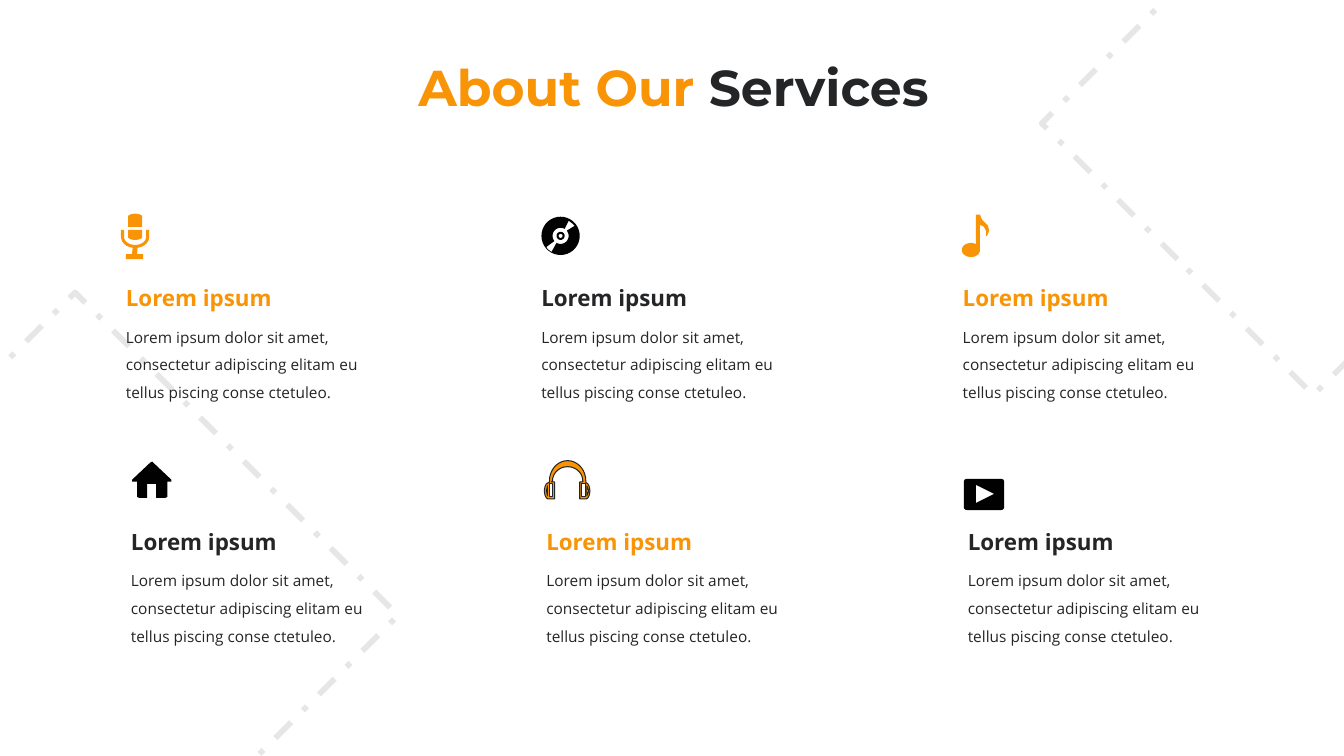
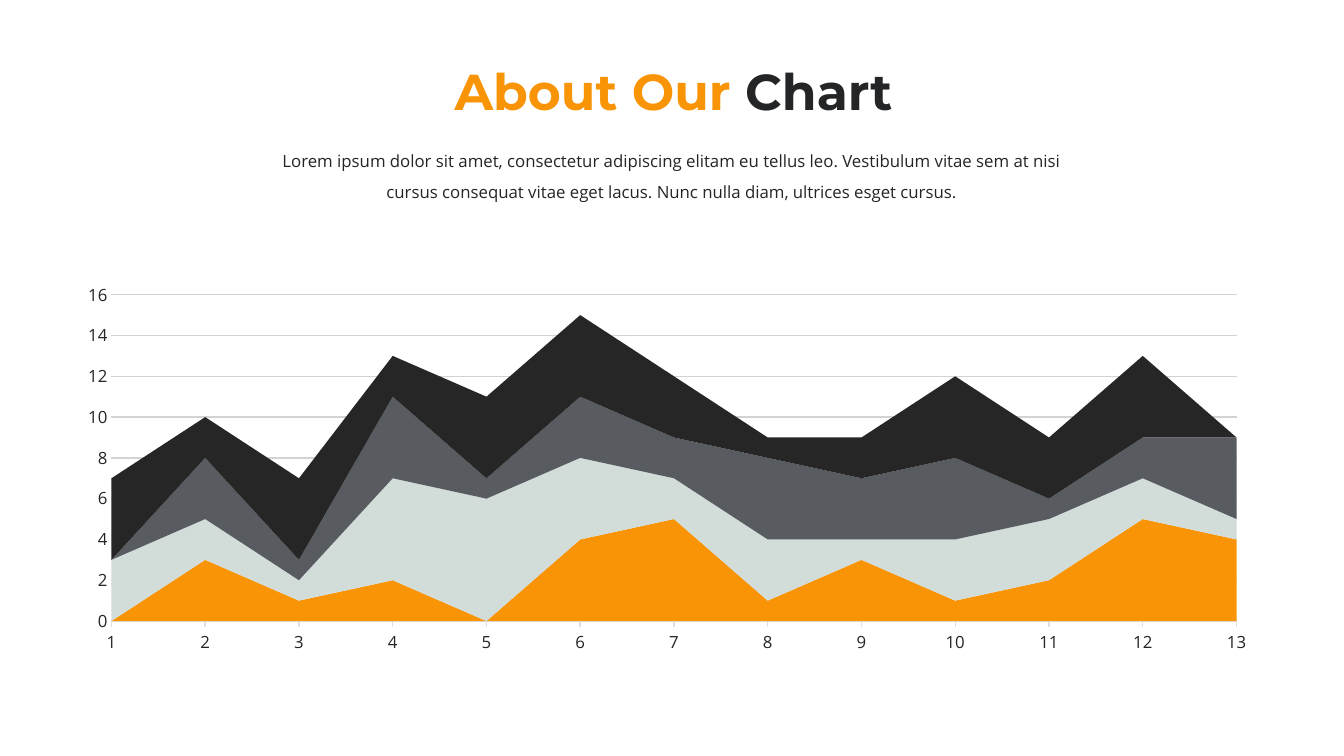
import math

import lxml.etree
import pptx
import pptx.chart.data
import pptx.dml.color
import pptx.enum.chart
import pptx.enum.dml
import pptx.enum.shapes
import pptx.enum.text
import pptx.oxml.ns
import pptx.util

Inches = pptx.util.Inches
Pt = pptx.util.Pt
RGBColor = pptx.dml.color.RGBColor
PP_ALIGN = pptx.enum.text.PP_ALIGN

ORANGE = RGBColor(0xF8, 0x94, 0x06)
DARK = RGBColor(0x24, 0x25, 0x27)
BLACK = RGBColor(0x01, 0x01, 0x01)
PALE = RGBColor(0xE6, 0xE6, 0xE6)
MINT = RGBColor(0xD2, 0xDD, 0xD9)
SLATE = RGBColor(0x58, 0x5B, 0x60)
CHARCOAL = RGBColor(0x26, 0x26, 0x26)
AXIS_GRAY = RGBColor(0xDD, 0xDE, 0xE0)
GRID_GRAY = RGBColor(0xD2, 0xD3, 0xD5)
TITLE_FONT = "Montserrat"
BODY_FONT = "Open Sans"


def add_text(slide, box, runs, size, font=BODY_FONT, bold=False,
             align=PP_ALIGN.LEFT, spacing=1.5):
    """Add a one-paragraph text box; runs are (text, colour) pairs."""
    shape = slide.shapes.add_textbox(*[Inches(value) for value in box])
    frame = shape.text_frame
    frame.word_wrap = True
    frame.auto_size = pptx.enum.text.MSO_AUTO_SIZE.SHAPE_TO_FIT_TEXT
    paragraph = frame.paragraphs[0]
    paragraph.alignment = align
    paragraph.line_spacing = spacing
    for text, color in runs:
        run = paragraph.add_run()
        run.text = text
        run.font.name = font
        run.font.size = Pt(size)
        run.font.bold = bold
        run.font.color.rgb = color


def arc(x, y, radius_x, radius_y, start, end):
    """Points on an ellipse, in degrees clockwise from the right."""
    steps = max(6, abs(end - start) // 10)
    angles = [math.radians(start + (end - start) * i / steps) for i in range(steps + 1)]
    return [(x + radius_x * math.cos(a), y + radius_y * math.sin(a)) for a in angles]


presentation = pptx.Presentation()
presentation.slide_width = Inches(13.33)
presentation.slide_height = Inches(7.5)

# Slides and their two-colour titles
slides = []
for title_word, title_top in (("Services", 0.51), ("Chart", 0.55)):
    slide = presentation.slides.add_slide(presentation.slide_layouts[6])
    add_text(slide, (3.96, title_top, 5.44, 0.71),
             [("About Our ", ORANGE), (title_word, DARK)], 36,
             TITLE_FONT, True, PP_ALIGN.CENTER, 1.0)
    slides.append(slide)
services_slide, chart_slide = slides

# Services: dashed diamonds
for left, top, side in ((-1.52, 3.84, 4.53), (11.12, -0.68, 3.81)):
    diamond = services_slide.shapes.add_shape(
        pptx.enum.shapes.MSO_SHAPE.RECTANGLE,
        Inches(left), Inches(top), Inches(side), Inches(side))
    diamond.rotation = 45
    diamond.shadow.inherit = False
    diamond.fill.background()
    diamond.line.color.rgb = PALE
    diamond.line.width = Pt(4)
    diamond.line.dash_style = pptx.enum.dml.MSO_LINE.DASH_DOT

# Services: two rows of three texts, accent colour alternating
BODY = ("Lorem ipsum dolor sit amet, consectetur adipiscing elitam eu "
        "tellus piscing conse ctetuleo.")
for row, (top, shift) in enumerate(((2.64, 0), (5.06, 0.05))):
    for column, left in enumerate((1.15, 5.27, 9.45)):
        heading_color = DARK if (row + column) % 2 else ORANGE
        add_text(services_slide, (left + shift, top, 2.71, 0.46),
                 [("Lorem ipsum", heading_color)], 16, bold=True)
        add_text(services_slide, (left + shift, top + 0.47, 2.71, 0.93),
                 [(BODY, DARK)], 11)

# Services: icon outlines, each a list of closed contours
microphone = [
    [(1.48, 2.28), *arc(1.34, 2.35, 0.14, 0.11, 0, 80), (1.36, 2.52),
     (1.42, 2.52), (1.42, 2.57), (1.25, 2.57), (1.25, 2.52), (1.31, 2.52),
     *arc(1.34, 2.35, 0.14, 0.11, 100, 180), (1.2, 2.28), (1.23, 2.28),
     *arc(1.34, 2.35, 0.11, 0.08, 180, 0), (1.45, 2.28)],
    [(1.41, 2.25), (1.27, 2.25), *arc(1.34, 2.15, 0.07, 0.03, 180, 360)],
    [(1.27, 2.28), (1.41, 2.28), *arc(1.34, 2.35, 0.07, 0.03, 0, 180)],
]
disc = [
    arc(5.56, 2.34, 0.19, 0.19, 0, 360),
    [(5.43, 2.47), (5.47, 2.5), *arc(5.56, 2.34, 0.08, 0.08, 120, -40),
     (5.7, 2.24), (5.68, 2.22), (5.64, 2.19),
     *arc(5.56, 2.34, 0.08, 0.08, -60, -220), (5.42, 2.45)],
    arc(5.56, 2.34, 0.04, 0.04, 0, 360),
    arc(5.56, 2.34, 0.02, 0.02, 0, 360),
]
note = [
    [(9.72, 2.13), (9.74, 2.18), (9.8, 2.24), (9.81, 2.29), (9.79, 2.34),
     (9.78, 2.34), (9.78, 2.29), (9.76, 2.25), (9.72, 2.23),
     *arc(9.63, 2.48, 0.09, 0.07, 0, 300), (9.68, 2.42), (9.68, 2.13)],
]
house = [
    [(1.7, 4.78), (1.66, 4.78), (1.66, 4.93), (1.64, 4.94), (1.55, 4.94),
     (1.55, 4.8), (1.46, 4.8), (1.46, 4.94), (1.38, 4.94), (1.36, 4.93),
     (1.36, 4.78), (1.31, 4.78), (1.31, 4.76), (1.49, 4.59), (1.51, 4.58),
     (1.52, 4.59), (1.7, 4.76)],
]
headphones = [
    [*arc(5.63, 4.77, 0.18, 0.2, 180, 360), *arc(5.81, 4.87, 0.04, 0.08, -90, 90),
     (5.75, 4.95), (5.75, 4.78), (5.78, 4.78),
     *arc(5.63, 4.77, 0.15, 0.14, 360, 180), (5.47, 4.78), (5.5, 4.78),
     (5.5, 4.95), *arc(5.44, 4.87, 0.04, 0.08, 90, 270), (5.45, 4.78)],
    [(5.42, 4.87), (5.43, 4.82), (5.43, 4.92)],
    [(5.45, 4.8), (5.48, 4.8), (5.48, 4.93), (5.45, 4.93)],
    [(5.84, 4.87), (5.82, 4.92), (5.82, 4.82)],
    [(5.77, 4.8), (5.81, 4.8), (5.81, 4.93), (5.77, 4.93)],
]
video = [
    [*arc(9.59, 4.78, 0.03, 0.03, 180, 270), *arc(9.93, 4.78, 0.03, 0.03, 270, 360),
     *arc(9.93, 5.03, 0.03, 0.03, 0, 90), *arc(9.59, 5.03, 0.03, 0.03, 90, 180)],
    [(9.68, 4.81), (9.68, 4.99), (9.86, 4.9)],
]

for contours, color, outline in (
        (microphone, ORANGE, None), (disc, BLACK, None), (note, ORANGE, None),
        (house, BLACK, None), (headphones, ORANGE, DARK), (video, BLACK, None)):
    scaled = [[(Inches(x), Inches(y)) for x, y in contour] for contour in contours]
    builder = services_slide.shapes.build_freeform(*scaled[0][0])
    builder.add_line_segments(scaled[0][1:], close=True)
    for contour in scaled[1:]:
        builder.move_to(*contour[0])
        builder.add_line_segments(contour[1:], close=True)
    icon = builder.convert_to_shape()
    icon.shadow.inherit = False
    icon.fill.solid()
    icon.fill.fore_color.rgb = color
    if outline is None:
        icon.line.fill.background()
    else:
        icon.line.color.rgb = outline
        icon.line.width = Pt(0.75)

# Chart: introduction
add_text(chart_slide, (2.54, 1.35, 8.25, 0.71),
         [("Lorem ipsum dolor sit amet, consectetur adipiscing elitam eu tellus leo. "
           "Vestibulum vitae sem at nisi cursus consequat vitae eget lacus. "
           "Nunc nulla diam, ultrices esget cursus.", DARK)],
         12, align=PP_ALIGN.CENTER)

# Chart: stacked areas
series_rows = (
    (ORANGE, (0, 3, 1, 2, 0, 4, 5, 1, 3, 1, 2, 5, 4)),
    (MINT, (3, 2, 1, 5, 6, 4, 2, 3, 1, 3, 3, 2, 1)),
    (SLATE, (0, 3, 1, 4, 1, 3, 2, 4, 3, 4, 1, 2, 4)),
    (CHARCOAL, (4, 2, 4, 2, 4, 4, 3, 1, 2, 4, 3, 4, 0)),
)
chart_data = pptx.chart.data.CategoryChartData()
chart_data.categories = [str(number) for number in range(1, 14)]
for number, (color, values) in enumerate(series_rows, 1):
    chart_data.add_series(f"Series {number}", values)
chart = chart_slide.shapes.add_chart(
    pptx.enum.chart.XL_CHART_TYPE.AREA_STACKED,
    Inches(0.62), Inches(2.56), Inches(12.13), Inches(4.56), chart_data).chart
chart.has_legend = False
chart.has_title = False
chart.font.name = BODY_FONT
chart.font.size = Pt(10)
chart.font.color.rgb = DARK
chart.plots[0].vary_by_categories = False
for series, (color, values) in zip(chart.plots[0].series, series_rows):
    series.format.fill.solid()
    series.format.fill.fore_color.rgb = color
    series.format.line.fill.background()

# Chart: axes
TICK = pptx.enum.chart.XL_TICK_MARK
for axis, tick in ((chart.category_axis, TICK.OUTSIDE), (chart.value_axis, TICK.NONE)):
    axis.major_tick_mark = tick
    axis.minor_tick_mark = TICK.NONE
    axis.tick_labels.font.name = BODY_FONT
    axis.tick_labels.font.size = Pt(12)
    axis.tick_labels.font.color.rgb = DARK
chart.category_axis.has_major_gridlines = False
chart.category_axis.format.line.color.rgb = AXIS_GRAY
chart.category_axis.format.line.width = Pt(1)
value_axis = chart.value_axis
value_axis.minimum_scale = 0
value_axis.maximum_scale = 16
value_axis.major_unit = 2
value_axis.format.line.fill.background()
value_axis.has_major_gridlines = True
value_axis.major_gridlines.format.line.color.rgb = GRID_GRAY
value_axis.major_gridlines.format.line.width = Pt(1)

# Chart: areas run edge to edge in a fixed plot area
qn = pptx.oxml.ns.qn
plot_area = chart.element.find(".//" + qn("c:plotArea"))
plot_area.find(".//" + qn("c:crossBetween")).set("val", "midCat")
for old_layout in plot_area.findall(qn("c:layout")):
    plot_area.remove(old_layout)
layout = lxml.etree.Element(qn("c:layout"))
manual_layout = lxml.etree.SubElement(layout, qn("c:manualLayout"))
for tag, value in (("layoutTarget", "inner"), ("xMode", "edge"), ("yMode", "edge"),
                   ("x", "0.04"), ("y", "0.08"), ("w", "0.92"), ("h", "0.71")):
    lxml.etree.SubElement(manual_layout, qn("c:" + tag)).set("val", value)
plot_area.insert(0, layout)

presentation.save("out.pptx")
